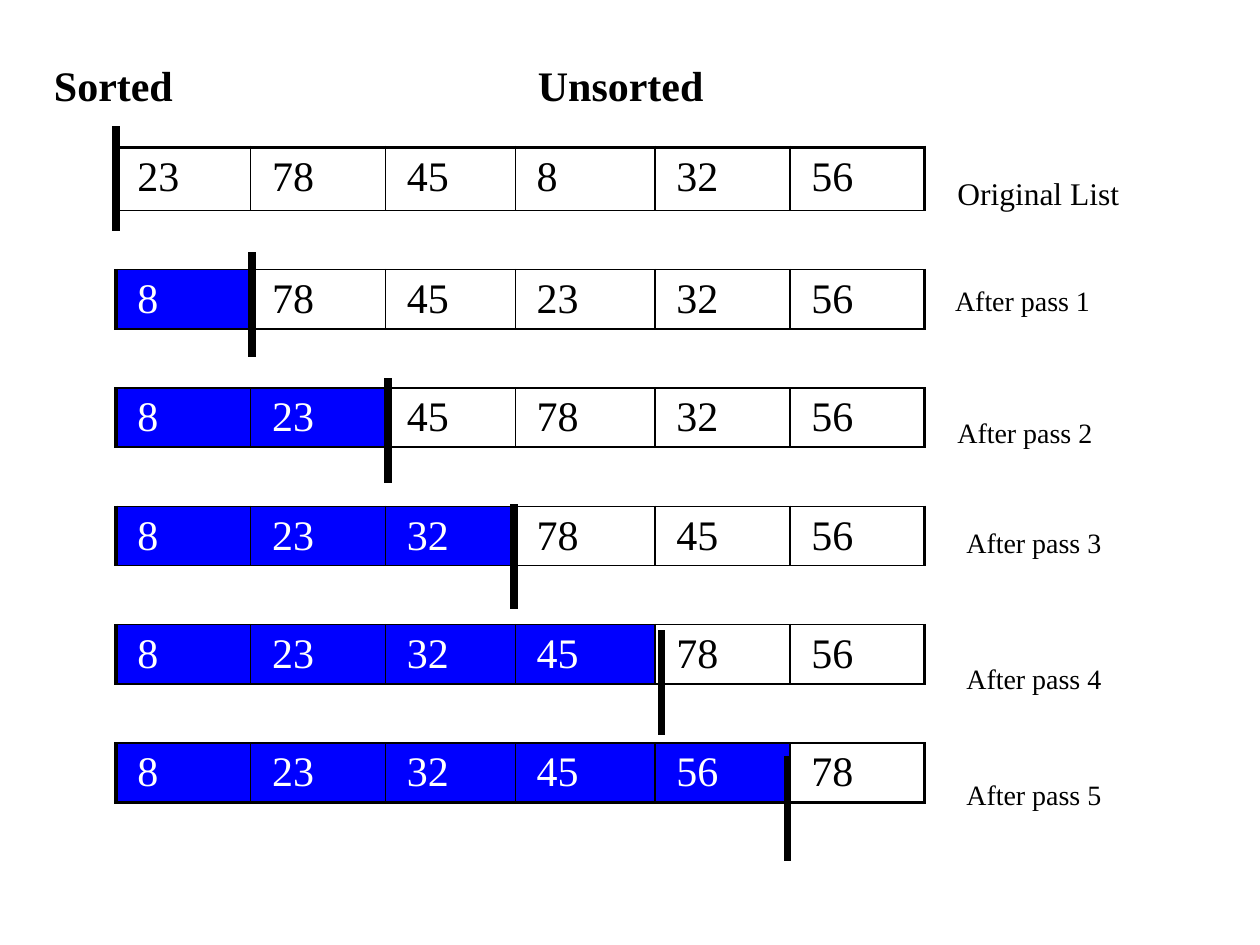
from dataclasses import dataclass

from lxml.etree import SubElement
from pptx import Presentation
from pptx.dml.color import RGBColor
from pptx.enum.shapes import MSO_CONNECTOR as Connector
from pptx.oxml.ns import qn
from pptx.slide import Slide
from pptx.table import _Cell as Cell
from pptx.text.text import TextFrame
from pptx.util import Inches, Pt

BLACK = RGBColor(0x00, 0x00, 0x00)
WHITE = RGBColor(0xFF, 0xFF, 0xFF)
BLUE = RGBColor(0x00, 0x00, 0xFF)
FONT = "Times New Roman"
NO_STYLE = "{2D5ABB26-0587-4C30-8999-92F81FD0307C}"
THIN, THICK = 1, 2.25

TABLE_LEFT, TABLE_TOP = 0.92, 1.17
COLUMN_WIDTHS = [1.07, 1.07, 1.03, 1.11, 1.07, 1.07]
FIRST_ROW_HEIGHT, ROW_HEIGHT = 0.5, 0.47
DIVIDER_LENGTH = 0.83


@dataclass
class Label:
    text: str
    left: float
    top: float
    size: int
    width: float = 1.88
    height: float = 0.38
    bold: bool = False
    inset: bool = True


@dataclass
class Pass:
    values: list[int]
    divider_left: float
    label: Label


HEADINGS = [
    Label("Sorted", 0.33, 0.42, 24, 1.58, 0.5, bold=True),
    Label("Unsorted", 4.17, 0.42, 24, 1.58, 0.5, bold=True),
]

PASSES = [
    Pass([23, 78, 45, 8, 32, 56], 0.92, Label("Original List", 7.5, 1.33, 18)),
    Pass([8, 78, 45, 23, 32, 56], 2, Label("After pass 1", 7.58, 2.25, 16, inset=False)),
    Pass([8, 23, 45, 78, 32, 56], 3.08, Label("After pass 2", 7.5, 3.25, 16)),
    Pass([8, 23, 32, 78, 45, 56], 4.08, Label("After pass 3", 7.67, 4.17, 16, inset=False)),
    Pass([8, 23, 32, 45, 78, 56], 5.25, Label("After pass 4", 7.67, 5.25, 16, inset=False)),
    Pass([8, 23, 32, 45, 56, 78], 6.25, Label("After pass 5", 7.67, 6.17, 16, inset=False)),
]


def add_run(frame: TextFrame, text: str, size: int, color: RGBColor, bold: bool = False) -> None:
    run = frame.paragraphs[0].add_run()
    run.text = text
    run.font.name = FONT
    run.font.size = Pt(size)
    run.font.bold = bold
    run.font.color.rgb = color


def add_label(slide: Slide, label: Label) -> None:
    box = slide.shapes.add_textbox(
        Inches(label.left), Inches(label.top), Inches(label.width), Inches(label.height)
    )
    frame = box.text_frame
    frame.word_wrap = True
    if not label.inset:
        frame.margin_left = frame.margin_right = 0
        frame.margin_top = frame.margin_bottom = 0
    add_run(frame, label.text, label.size, BLACK, label.bold)


def add_divider(slide: Slide, left: float, top: float) -> None:
    line = slide.shapes.add_connector(
        Connector.STRAIGHT, Inches(left), Inches(top), Inches(left), Inches(top + DIVIDER_LENGTH)
    )
    line.line.color.rgb = BLACK
    line.line.width = Pt(4.5)
    SubElement(line._element.spPr, qn("a:effectLst"))


def set_borders(cell: Cell, borders: dict[str, float]) -> None:
    properties = cell._tc.get_or_add_tcPr()
    for index, (side, width) in enumerate(borders.items()):
        border = SubElement(properties, qn(f"a:ln{side}"), w=str(Pt(width)))
        properties.insert(index, border)
        fill = SubElement(border, qn("a:solidFill"))
        SubElement(fill, qn("a:srgbClr"), val=str(BLACK))


def fill_value_cell(cell: Cell, value: int, is_sorted: bool) -> None:
    cell.margin_left = Inches(0.17)
    if is_sorted:
        cell.fill.solid()
        cell.fill.fore_color.rgb = BLUE
    else:
        cell.fill.background()
    add_run(cell.text_frame, str(value), 24, WHITE if is_sorted else BLACK)


def add_pass_table(slide: Slide) -> None:
    row_count, column_count = 2 * len(PASSES) - 1, len(COLUMN_WIDTHS)
    heights = [FIRST_ROW_HEIGHT] + [ROW_HEIGHT] * (row_count - 1)
    frame = slide.shapes.add_table(
        row_count, column_count, Inches(TABLE_LEFT), Inches(TABLE_TOP),
        Inches(sum(COLUMN_WIDTHS)), Inches(sum(heights)),
    )
    table = frame.table
    table.first_row = table.horz_banding = False
    table._tbl.tblPr.find(qn("a:tableStyleId")).text = NO_STYLE
    for column, width in zip(table.columns, COLUMN_WIDTHS):
        column.width = Inches(width)
    for row, height in zip(table.rows, heights):
        row.height = Inches(height)

    for row in range(row_count):
        for column in range(column_count):
            cell = table.cell(row, column)
            if row % 2:
                cell.fill.background()
                set_borders(cell, {"T": THIN, "B": THIN})
                continue
            number = row // 2
            fill_value_cell(cell, PASSES[number].values[column], column < number)
            set_borders(cell, {
                "L": THICK if column == 0 else THIN,
                "R": THICK if column == column_count - 1 else THIN,
                "T": THICK if row == 0 else THIN,
                "B": THICK if row == row_count - 1 else THIN,
            })


def main() -> None:
    presentation = Presentation()
    presentation.slide_width = Inches(10)
    presentation.slide_height = Inches(7.5)
    slide = presentation.slides.add_slide(presentation.slide_layouts[6])

    add_pass_table(slide)
    for label in [step.label for step in PASSES] + HEADINGS:
        add_label(slide, label)
    for number, step in enumerate(PASSES):
        add_divider(slide, step.divider_left, 1 + number)

    presentation.save("out.pptx")


if __name__ == "__main__":
    main()
